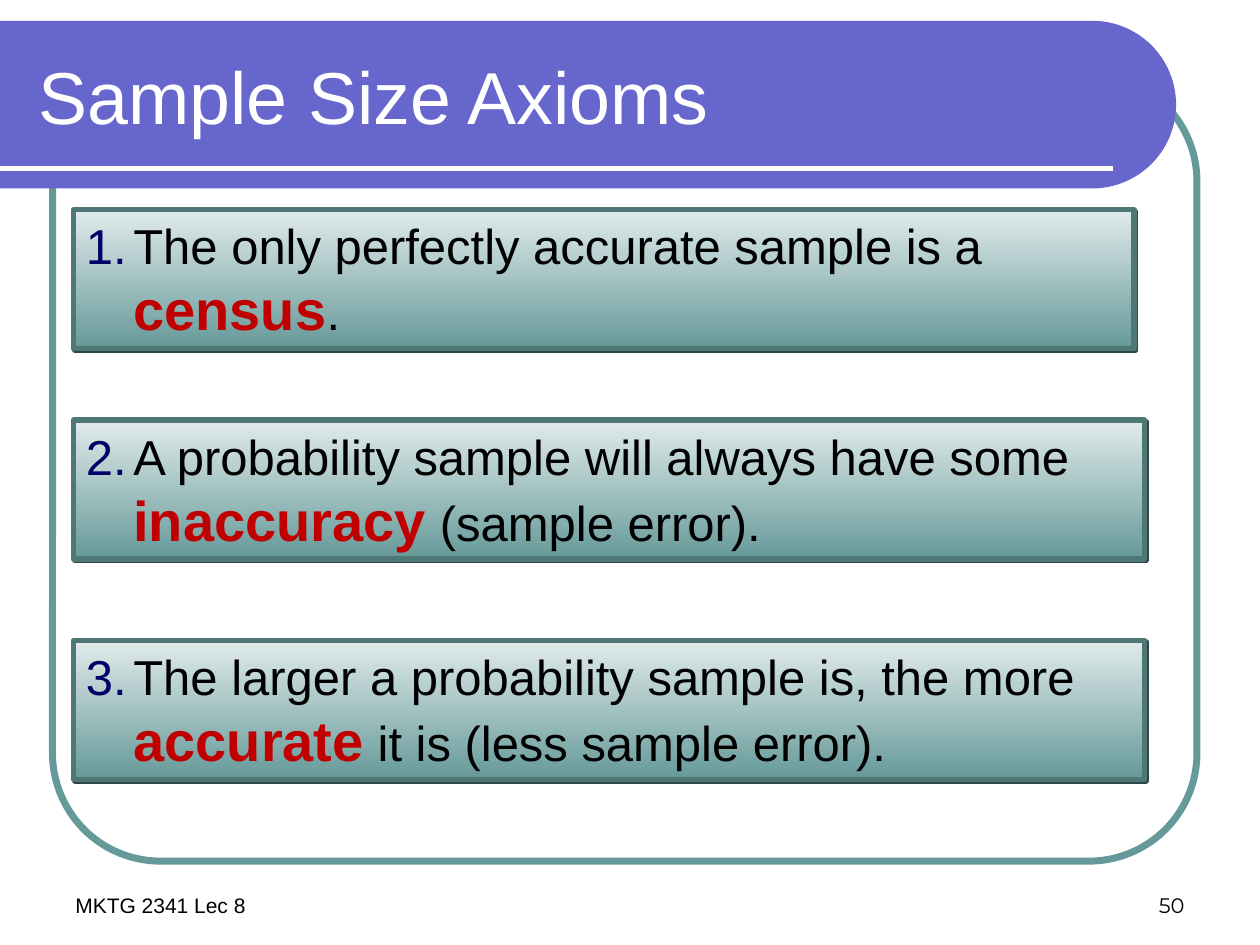
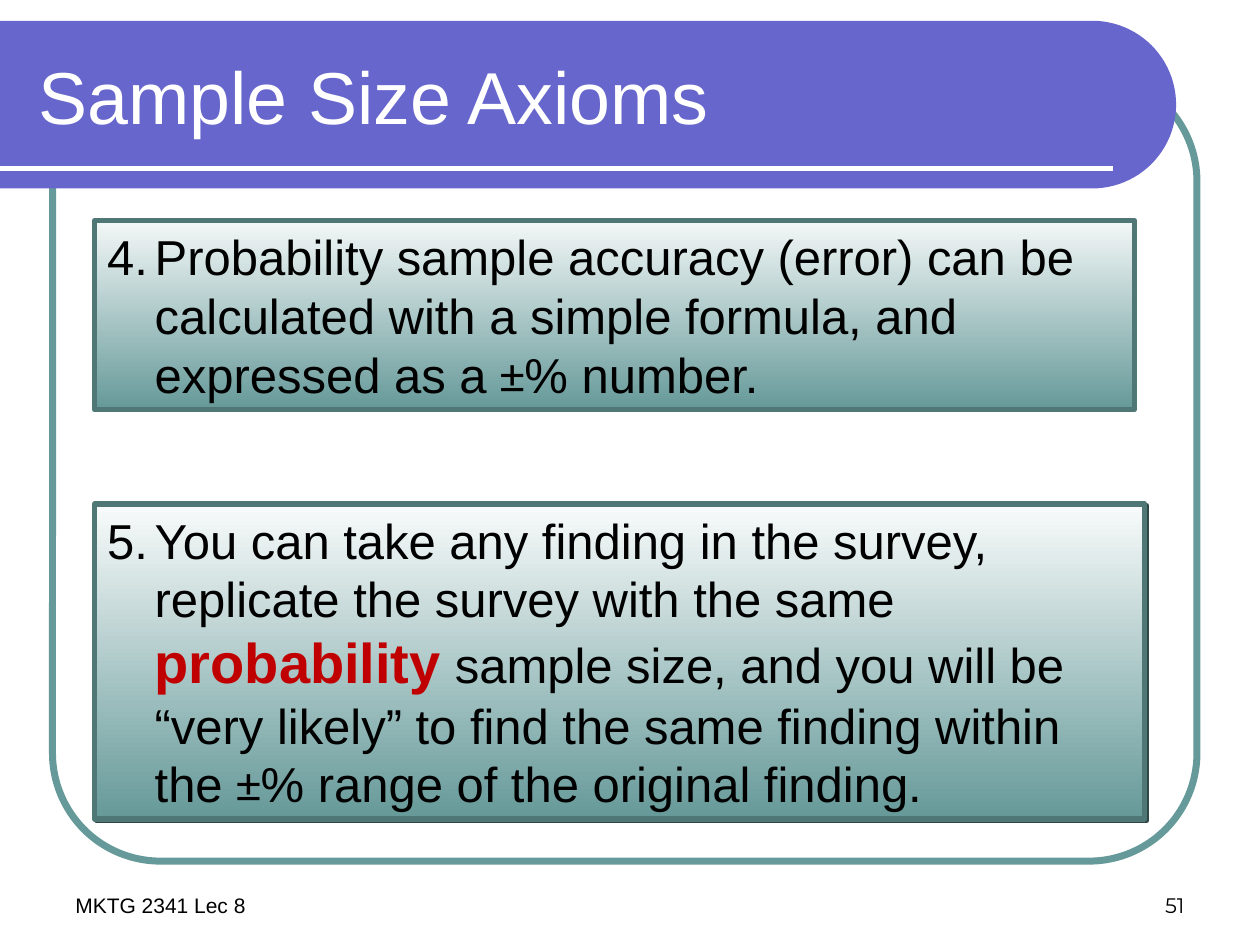
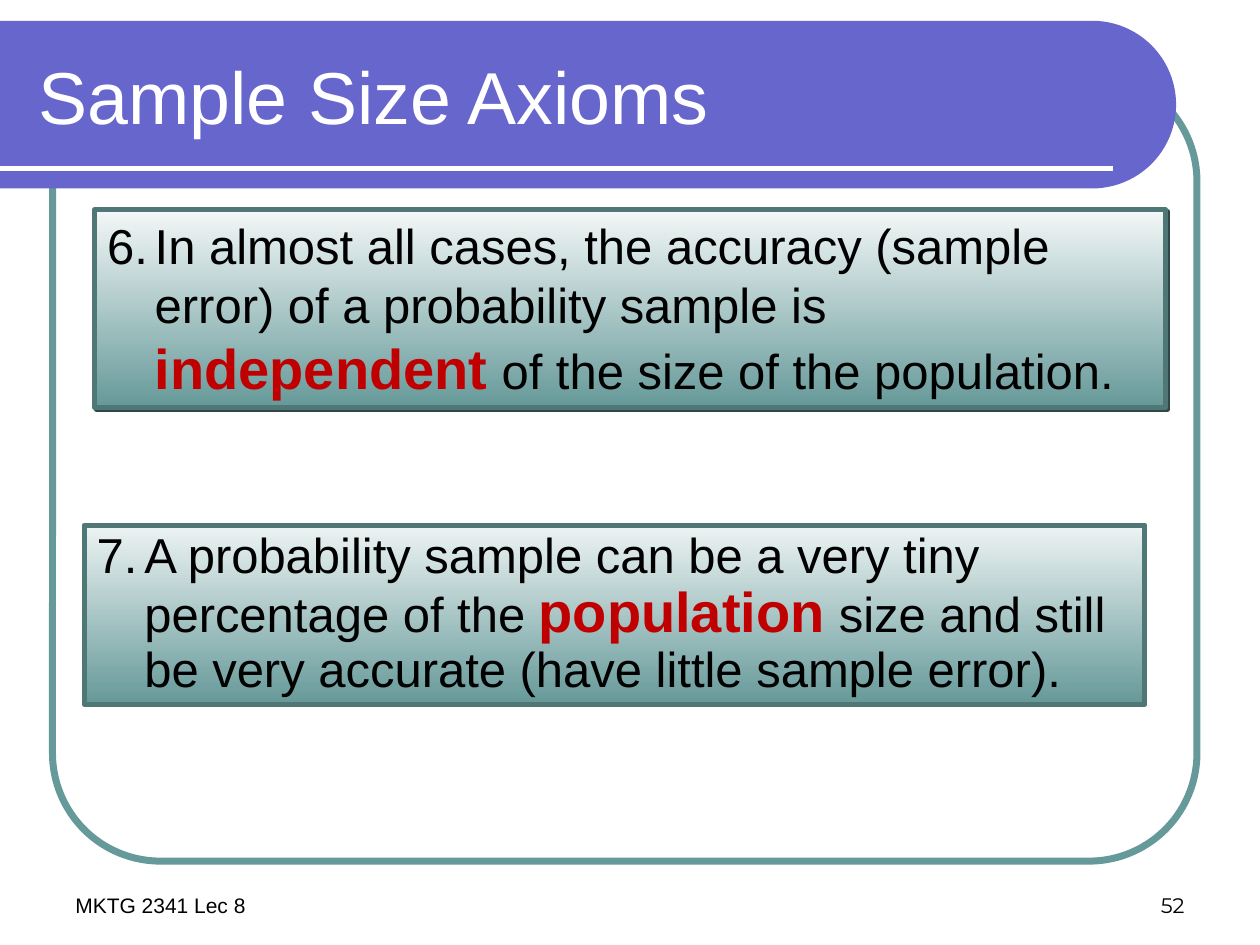
from dataclasses import dataclass
from math import cos, pi, sin

from lxml import etree
from pptx import Presentation
from pptx.dml.color import RGBColor
from pptx.enum.shapes import MSO_CONNECTOR, MSO_SHAPE
from pptx.enum.text import MSO_ANCHOR, MSO_AUTO_SIZE, PP_ALIGN
from pptx.oxml.ns import qn
from pptx.util import Cm, Pt

RECTANGLE = MSO_SHAPE.RECTANGLE
ROUNDED = MSO_SHAPE.ROUNDED_RECTANGLE
STRAIGHT = MSO_CONNECTOR.STRAIGHT
TOP, MIDDLE, BOTTOM = MSO_ANCHOR.TOP, MSO_ANCHOR.MIDDLE, MSO_ANCHOR.BOTTOM
LEFT, RIGHT = PP_ALIGN.LEFT, PP_ALIGN.RIGHT
FIXED_SIZE = MSO_AUTO_SIZE.NONE


@dataclass(frozen=True)
class TextStyle:
    font: str
    size: int
    color: str
    bold: bool = False


@dataclass(frozen=True)
class Theme:
    band: str = "6666CC"
    teal: str = "669999"
    border: str = "4E7776"
    shadow: str = "2F4747"
    white: str = "FFFFFF"
    black: str = "000000"
    navy: str = "000066"
    title: TextStyle = TextStyle("Arial", 42, "FFFFFF")
    footer: TextStyle = TextStyle("Arial", 12, "000000")
    number: TextStyle = TextStyle("Montserrat", 12, "000000")
    body: TextStyle = TextStyle("Arial", 28, "000000")
    symbol: TextStyle = TextStyle("Calibri", 28, "000000")
    key: TextStyle = TextStyle("Arial", 32, "C00000", True)


THEME = Theme()


def rgb(color):
    return RGBColor.from_string(color)


class AxiomDeck:
    def __init__(self, theme):
        self.theme = theme
        self.deck = Presentation()
        self.deck.slide_width = Cm(25.4)
        self.deck.slide_height = Cm(19.05)
        self.page = None

    def add_page(self, title, footer, number):
        self.page = self.deck.slides.add_slide(self.deck.slide_layouts[6])
        self.add_frame()
        self.add_band()
        self.add_rule()
        self.add_text(1.27, 17.36, 5.93, 1.27, footer, self.theme.footer, BOTTOM)
        self.add_text(18.2, 17.36, 5.93, 1.27, str(number), self.theme.number, BOTTOM, RIGHT)
        self.add_text(0.53, 0.64, 22.28, 2.54, title, self.theme.title, MIDDLE)

    def add_frame(self):
        frame = self.page.shapes.add_shape(ROUNDED, Cm(1.06), Cm(1.48), Cm(23.07), Cm(15.88))
        frame.adjustments[0] = 0.137
        frame.shadow.inherit = False
        frame.fill.background()
        self.style_line(frame.line, self.theme.teal, 4)

    def add_band(self):
        top, radius, straight, steps = 0.42, 1.69, 22.02, 48
        angles = [pi * step / steps - pi / 2 for step in range(steps + 1)]
        arc = [
            (Cm(straight + radius * cos(angle)), Cm(top + radius + radius * sin(angle)))
            for angle in angles
        ]
        builder = self.page.shapes.build_freeform(0, Cm(top))
        builder.add_line_segments(arc + [(0, Cm(top + 2 * radius))], close=True)
        band = builder.convert_to_shape()
        band.shadow.inherit = False
        band.fill.solid()
        band.fill.fore_color.rgb = rgb(self.theme.band)
        band.line.fill.background()

    def add_rule(self):
        rule = self.page.shapes.add_connector(STRAIGHT, 0, Cm(3.39), Cm(22.44), Cm(3.39))
        self.style_line(rule.line, self.theme.white, 3)
        etree.SubElement(rule._element.spPr, qn("a:effectLst"))

    def add_text(self, left, top, width, height, text, style, anchor, align=LEFT):
        box = self.page.shapes.add_textbox(Cm(left), Cm(top), Cm(width), Cm(height))
        para = self.prepare_text(box, anchor, align)
        self.add_span(para, text, style)

    def add_axiom(self, number, left, top, width, height, spans, tint,
                  number_color=THEME.black, shadow=True, spacing=None):
        box = self.page.shapes.add_shape(RECTANGLE, Cm(left), Cm(top), Cm(width), Cm(height))
        box.fill.gradient()
        box.fill.gradient_angle = 270
        for stop, color, position in zip(box.fill.gradient_stops, (tint, self.theme.teal), (0, 1)):
            stop.color.rgb = rgb(color)
            stop.position = position
        self.style_line(box.line, self.theme.border, 3)
        box.shadow.inherit = False
        if shadow:
            self.add_shadow(box)
        para = self.prepare_text(box, TOP, LEFT)
        self.add_number(para, number, number_color)
        if spacing:
            para.line_spacing = spacing
        for text, style in spans:
            self.add_span(para, text, style)

    def add_shadow(self, box):
        effects = box._element.spPr.find(qn("a:effectLst"))
        shadow = etree.SubElement(effects, qn("a:outerShdw"), dist=str(Pt(1.4)),
                                  dir="2700000", algn="ctr", rotWithShape="0")
        etree.SubElement(shadow, qn("a:srgbClr"), val=self.theme.shadow)

    def add_number(self, para, number, color):
        properties = para._p.get_or_add_pPr()
        properties.set("marL", str(Cm(0.96)))
        properties.set("indent", str(Cm(-0.96)))
        bullet_color = etree.SubElement(properties, qn("a:buClr"))
        etree.SubElement(bullet_color, qn("a:srgbClr"), val=color)
        etree.SubElement(properties, qn("a:buFont"), typeface=self.theme.body.font)
        etree.SubElement(properties, qn("a:buAutoNum"), type="arabicPeriod", startAt=str(number))

    def prepare_text(self, box, anchor, align):
        frame = box.text_frame
        frame.word_wrap = True
        frame.auto_size = FIXED_SIZE
        frame.vertical_anchor = anchor
        para = frame.paragraphs[0]
        para.alignment = align
        return para

    def add_span(self, para, text, style):
        span = para.add_run()
        span.text = text
        span.font.name = style.font
        span.font.size = Pt(style.size)
        span.font.bold = style.bold
        span.font.color.rgb = rgb(style.color)

    def style_line(self, line, color, width):
        line.color.rgb = rgb(color)
        line.width = Pt(width)


def main():
    axioms = AxiomDeck(THEME)
    body, key, symbol = THEME.body, THEME.key, THEME.symbol
    title, footer = "Sample Size Axioms", "MKTG 2341 Lec 8"

    axioms.add_page(title, footer, 50)
    opening = [
        (4.23, 21.38, "The only perfectly accurate sample is a ", "census", "."),
        (8.47, 21.59, "A probability sample will always have some ", "inaccuracy",
         " (sample error)."),
        (12.91, 21.59, "The larger a probability sample is, the more ", "accurate",
         " it is (less sample error)."),
    ]
    for number, (top, width, before, keyword, after) in enumerate(opening, 1):
        spans = [(before, body), (keyword, key), (after, body)]
        axioms.add_axiom(number, 1.48, top, width, 2.8, spans, "E1EBEB", THEME.navy)

    axioms.add_page(title, footer, 51)
    axioms.add_axiom(4, 1.91, 4.45, 20.96, 3.81, [
        ("Probability sample accuracy (error) can be calculated with a simple formula, "
         "and expressed as a ", body),
        ("±", symbol),
        ("% number.", body),
    ], "F3F7F7", shadow=False)
    axioms.add_axiom(5, 1.91, 10.16, 21.17, 6.35, [
        ("You can take any finding in the survey, replicate the survey with the same ", body),
        ("probability", key),
        (" sample size, and you will be “very likely” to find the same finding within the ", body),
        ("±", symbol),
        ("% range of the original finding.", body),
    ], "F9FBFB")

    axioms.add_page(title, footer, 52)
    axioms.add_axiom(6, 1.91, 4.23, 21.59, 3.99, [
        ("In almost all cases, the accuracy (sample error) of a probability sample is ", body),
        ("independent", key),
        (" of the size of the population.", body),
    ], "F3F7F7")
    axioms.add_axiom(7, 1.7, 10.59, 21.38, 3.61, [
        ("A probability sample can be a very tiny percentage of the ", body),
        ("population", key),
        (" size and still be very accurate (have little sample error).", body),
    ], "EDF3F3", shadow=False, spacing=0.9)

    axioms.deck.save("out.pptx")


if __name__ == "__main__":
    main()
